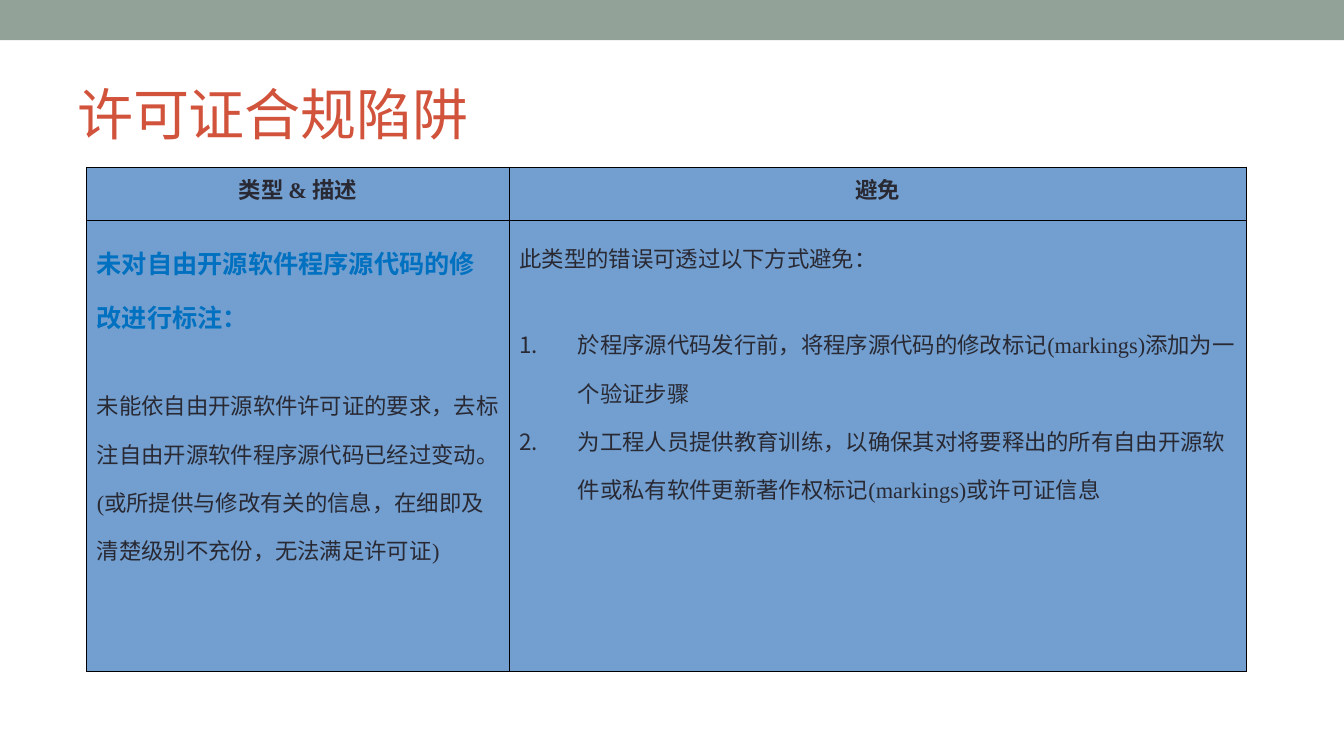
from dataclasses import dataclass
from lxml.etree import SubElement
from pptx import Presentation
from pptx.dml.color import RGBColor
from pptx.enum.shapes import MSO_SHAPE
from pptx.enum.text import MSO_ANCHOR, PP_ALIGN
from pptx.oxml.ns import qn
from pptx.util import Inches, Pt

WIDE, HIGH = Inches(13.33), Inches(7.5)


@dataclass(frozen=True)
class Theme:
    """Colours, type sizes and font of the slide."""
    font: str = "Times New Roman"
    bar: str = "93A299"
    title: str = "D2533C"
    ink: str = "292934"
    topic: str = "0070C0"
    cell: str = "729FCF"
    edge: str = "000000"
    big: int = 40
    mid: int = 18
    body: int = 16


LOOK = Theme()
GAP = 27


def across(share):
    """Turn a percentage of the slide's width into a length."""
    return int(WIDE * share / 100)


def down(share):
    """Turn a percentage of the slide's height into a length."""
    return int(HIGH * share / 100)


def paint(fill, tone):
    """Give a fill one solid colour."""
    fill.solid()
    fill.fore_color.rgb = RGBColor.from_string(tone)


def write(para, text, size=LOOK.body, tone=LOOK.ink, bold=False):
    """Add one styled run to a paragraph."""
    run = para.add_run()
    run.text = text
    run.font.name = LOOK.font
    run.font.size = Pt(size)
    run.font.bold = bold
    run.font.color.rgb = RGBColor.from_string(tone)


def number(para):
    """Number a paragraph with a hanging indent."""
    props = para._p.get_or_add_pPr()
    props.set("marL", str(Inches(0.58)))
    props.set("indent", str(-Inches(0.58)))
    tone = SubElement(props, qn("a:buClr"))
    SubElement(tone, qn("a:srgbClr"), val=LOOK.ink)
    SubElement(props, qn("a:buAutoNum"), type="arabicPeriod")


def frame(cell):
    """Draw the four borders of a cell and fill it."""
    props = cell._tc.get_or_add_tcPr()
    for side in ("lnL", "lnR", "lnT", "lnB"):
        line = SubElement(props, qn("a:" + side), w=str(Pt(0.96)))
        fill = SubElement(line, qn("a:solidFill"))
        SubElement(fill, qn("a:srgbClr"), val=LOOK.edge)
    paint(cell.fill, LOOK.cell)


def head(cell, text):
    """Write a centred column heading."""
    para = cell.text_frame.paragraphs[0]
    para.alignment = PP_ALIGN.CENTER
    write(para, text, bold=True)


def fill_body(cell, lead, items, style, listed):
    """Write a lead line, a gap and the paragraphs below it."""
    text = cell.text_frame
    para = text.paragraphs[0]
    para.line_spacing = 1.5
    write(para, lead, **style)
    for rank, item in enumerate(items):
        para = text.add_paragraph()
        if listed:
            number(para)
        para.line_spacing = 1.5
        para.space_before = Pt(0 if rank else GAP)
        write(para, item)


def add_bar(slide):
    """Draw the band along the top edge."""
    bar = slide.shapes.add_shape(MSO_SHAPE.RECTANGLE, 0, 0, WIDE, down(5.33))
    bar.shadow.inherit = False
    paint(bar.fill, LOOK.bar)
    bar.line.fill.background()


def add_title(slide, text):
    """Place the slide title."""
    box = slide.shapes.add_textbox(across(5), down(7.73), across(90), down(14.4))
    box.text_frame.word_wrap = True
    box.text_frame.vertical_anchor = MSO_ANCHOR.MIDDLE
    write(box.text_frame.paragraphs[0], text, LOOK.big, LOOK.title)


def add_grid(slide):
    """Place the bordered table and return it."""
    cols, rows = (31.45, 54.84), (7.05, 59.68)
    shape = slide.shapes.add_table(
        len(rows), len(cols), across(6.45), down(22.13),
        across(sum(cols)), down(sum(rows)))
    table = shape.table
    for col, share in zip(table.columns, cols):
        col.width = across(share)
    for row, share in zip(table.rows, rows):
        row.height = down(share)
    for cell in table.iter_cells():
        frame(cell)
    return table


def main():
    """Build and save the slide."""
    deck = Presentation()
    deck.slide_width, deck.slide_height = WIDE, HIGH
    slide = deck.slides.add_slide(deck.slide_layouts[6])
    add_bar(slide)
    add_title(slide, "许可证合规陷阱")
    table = add_grid(slide)
    for col, text in enumerate(("类型 & 描述", "避免")):
        head(table.cell(0, col), text)
    fill_body(
        table.cell(1, 0), "未对自由开源软件程序源代码的修改进行标注：",
        ["未能依自由开源软件许可证的要求，去标注自由开源软件程序源代码已经过变动。"
         "(或所提供与修改有关的信息，在细即及清楚级别不充份，无法满足许可证)"],
        {"size": LOOK.mid, "tone": LOOK.topic, "bold": True}, False)
    fill_body(
        table.cell(1, 1), "此类型的错误可透过以下方式避免：",
        ["於程序源代码发行前，将程序源代码的修改标记(markings)添加为一个验证步骤",
         "为工程人员提供教育训练，以确保其对将要释出的所有自由开源软件或私有软件"
         "更新著作权标记(markings)或许可证信息"],
        {}, True)
    deck.save("out.pptx")


if __name__ == "__main__":
    main()
